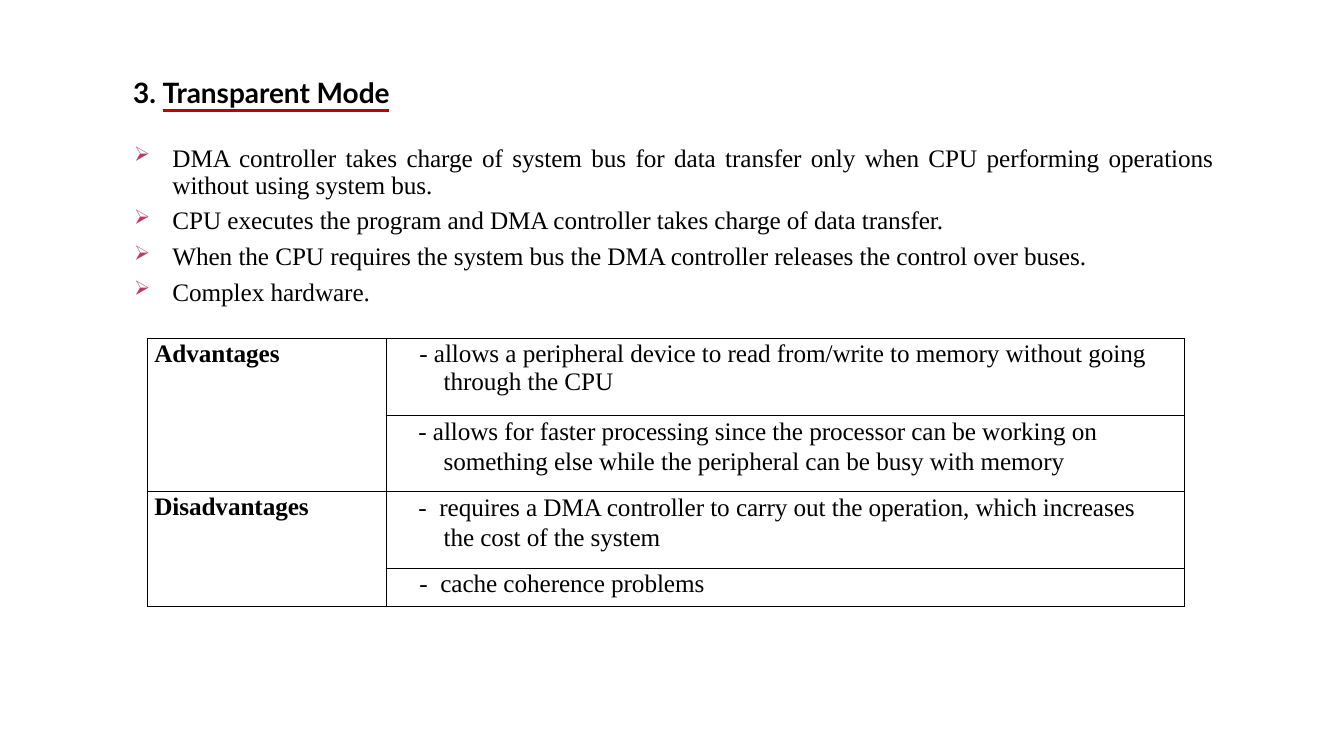
from dataclasses import dataclass
from typing import Optional

from lxml.etree import SubElement
from pptx import Presentation
from pptx.dml.color import RGBColor
from pptx.enum.text import MSO_ANCHOR as Anchor, PP_ALIGN as Align
from pptx.oxml import parse_xml
from pptx.oxml.ns import nsdecls, qn
from pptx.util import Inches, Pt


@dataclass(frozen=True)
class Theme:
    heading_font: str = "Lato"
    body_font: str = "Times New Roman"
    heading_size: int = 20
    body_size: int = 18
    ink: str = "000000"
    underline: str = "C00000"
    bullet: str = "B83C68"
    paper: str = "FFFFFF"


@dataclass(frozen=True)
class Line:
    text: str
    indent: float = 0
    hanging: float = 0
    spacing: Optional[float] = None
    before: float = 0
    align: Align = Align.LEFT
    bullet: bool = False
    bold: bool = False
    dash_gap: float = 0


@dataclass(frozen=True)
class Topic:
    name: str
    points: tuple[tuple[Line, ...], ...]


THEME = Theme()
BULLETS = (
    Line("DMA controller takes charge of system bus for data transfer only when CPU "
         "performing operations without using system bus.",
         0.39, -0.38, 19.4, 3.5, Align.JUSTIFY, True),
    Line("CPU executes the program and DMA controller takes charge of data transfer.",
         0.39, -0.38, before=3.6, bullet=True),
    Line("When the CPU requires the system bus the DMA controller releases the control over buses.",
         0.39, -0.38, before=3.9, bullet=True),
    Line("Complex hardware.", 0.39, -0.38, before=3.9, bullet=True),
)
TOPICS = (
    Topic("Advantages", (
        (Line("- allows a peripheral device to read from/write to memory without going",
              0.33, spacing=21.1),
         Line("through the CPU", 0.57)),
        (Line("- allows for faster processing since the processor can be working on "
              "something else while the peripheral can be busy with memory",
              0.57, -0.25, 21.6, 0.2),),
    )),
    Topic("Disadvantages", (
        (Line("- requires a DMA controller to carry out the operation, which increases "
              "the cost of the system", 0.57, -0.25, 21.6, 0.2, dash_gap=2.25),),
        (Line("- cache coherence problems", 0.33, spacing=21.1, dash_gap=2.25),),
    )),
)
COLUMN_WIDTHS = (2.37, 7.92)
ROW_HEIGHTS = (0.76, 0.76, 0.76, 0.38)


def apply_format(target, values: dict) -> None:
    for name, value in values.items():
        setattr(target, name, value)


def add_run(paragraph, text: str, font: str, size: int, bold: bool, tracking: float = -0.05):
    run = paragraph.add_run()
    run.text = text
    apply_format(run.font, {"name": font, "size": Pt(size), "bold": bold})
    run.font.color.rgb = RGBColor.from_string(THEME.ink)
    properties = run.font._element
    properties.set("spc", str(round(tracking * 100)))
    return properties


def add_bullet(properties) -> None:
    color = SubElement(properties, qn("a:buClr"))
    SubElement(color, qn("a:srgbClr"), val=THEME.bullet)
    SubElement(properties, qn("a:buSzPct"), val="81000")
    SubElement(properties, qn("a:buChar"), char="➢")


def write_lines(frame, lines: tuple[Line, ...]) -> None:
    for index, line in enumerate(lines):
        paragraph = frame.add_paragraph() if index else frame.paragraphs[0]
        apply_format(paragraph, {"alignment": line.align, "space_before": Pt(line.before)})
        if line.spacing:
            paragraph.line_spacing = Pt(line.spacing)
        properties = paragraph._p.get_or_add_pPr()
        properties.set("marL", str(Inches(line.indent)))
        properties.set("indent", str(Inches(line.hanging)))
        if line.bullet:
            add_bullet(properties)
        text = line.text
        if line.dash_gap:
            add_run(paragraph, text[:2], THEME.body_font, THEME.body_size, line.bold, line.dash_gap)
            text = text[2:]
        add_run(paragraph, text, THEME.body_font, THEME.body_size, line.bold)


def add_text_frame(slide, left: float, top: float, width: float, height: float,
                   inset: float, anchor: Anchor):
    box = slide.shapes.add_textbox(Inches(left), Inches(top), Inches(width), Inches(height))
    apply_format(box.text_frame, {
        "word_wrap": True, "vertical_anchor": anchor, "margin_left": 0,
        "margin_right": 0, "margin_top": Inches(inset), "margin_bottom": 0,
    })
    return box.text_frame


def add_heading(slide) -> None:
    frame = add_text_frame(slide, 1.32, 0.73, 4.67, 0.35, 0.01, Anchor.BOTTOM)
    paragraph = frame.paragraphs[0]
    paragraph.space_before = Pt(1.1)
    add_run(paragraph, "3. ", THEME.heading_font, THEME.heading_size, True)
    properties = add_run(paragraph, "Transparent Mode", THEME.heading_font,
                         THEME.heading_size, True)
    properties.set("u", "heavy")
    underline = parse_xml(
        f'<a:uFill {nsdecls("a")}><a:solidFill><a:srgbClr val="{THEME.underline}"/>'
        "</a:solidFill></a:uFill>")
    properties.find(qn("a:solidFill")).addnext(underline)


def format_cell(cell, right_margin: float) -> None:
    apply_format(cell, {"margin_left": 0, "margin_top": 0, "margin_bottom": 0,
                        "margin_right": Inches(right_margin)})
    properties = cell._tc.get_or_add_tcPr()
    for side in ("lnL", "lnR", "lnT", "lnB"):
        border = SubElement(properties, qn(f"a:{side}"), w=str(Pt(1)))
        fill = SubElement(border, qn("a:solidFill"))
        SubElement(fill, qn("a:srgbClr"), val=THEME.ink)
    cell.fill.solid()
    cell.fill.fore_color.rgb = RGBColor.from_string(THEME.paper)


def add_comparison(slide) -> None:
    table = slide.shapes.add_table(
        len(ROW_HEIGHTS), len(COLUMN_WIDTHS), Inches(1.46), Inches(3.36),
        Inches(sum(COLUMN_WIDTHS)), Inches(sum(ROW_HEIGHTS))).table
    apply_format(table, {"first_row": False, "horz_banding": False})
    for column, width in zip(table.columns, COLUMN_WIDTHS):
        column.width = Inches(width)
    for row, height in zip(table.rows, ROW_HEIGHTS):
        row.height = Inches(height)
        for cell, margin in zip(row.cells, (0, 0.3)):
            format_cell(cell, margin)
    first = 0
    for topic in TOPICS:
        name_cell = table.cell(first, 0)
        name_cell.merge(table.cell(first + len(topic.points) - 1, 0))
        write_lines(name_cell.text_frame, (Line(topic.name, 0.07, spacing=21.1, bold=True),))
        for offset, lines in enumerate(topic.points):
            write_lines(table.cell(first + offset, 1).text_frame, lines)
        first += len(topic.points)


def main() -> None:
    presentation = Presentation()
    apply_format(presentation, {"slide_width": Inches(13.33), "slide_height": Inches(7.5)})
    slide = presentation.slides.add_slide(presentation.slide_layouts[6])
    add_heading(slide)
    write_lines(add_text_frame(slide, 1.32, 1.39, 10.71, 1.66, 0.05, Anchor.TOP), BULLETS)
    add_comparison(slide)
    presentation.save("out.pptx")


if __name__ == "__main__":
    main()
